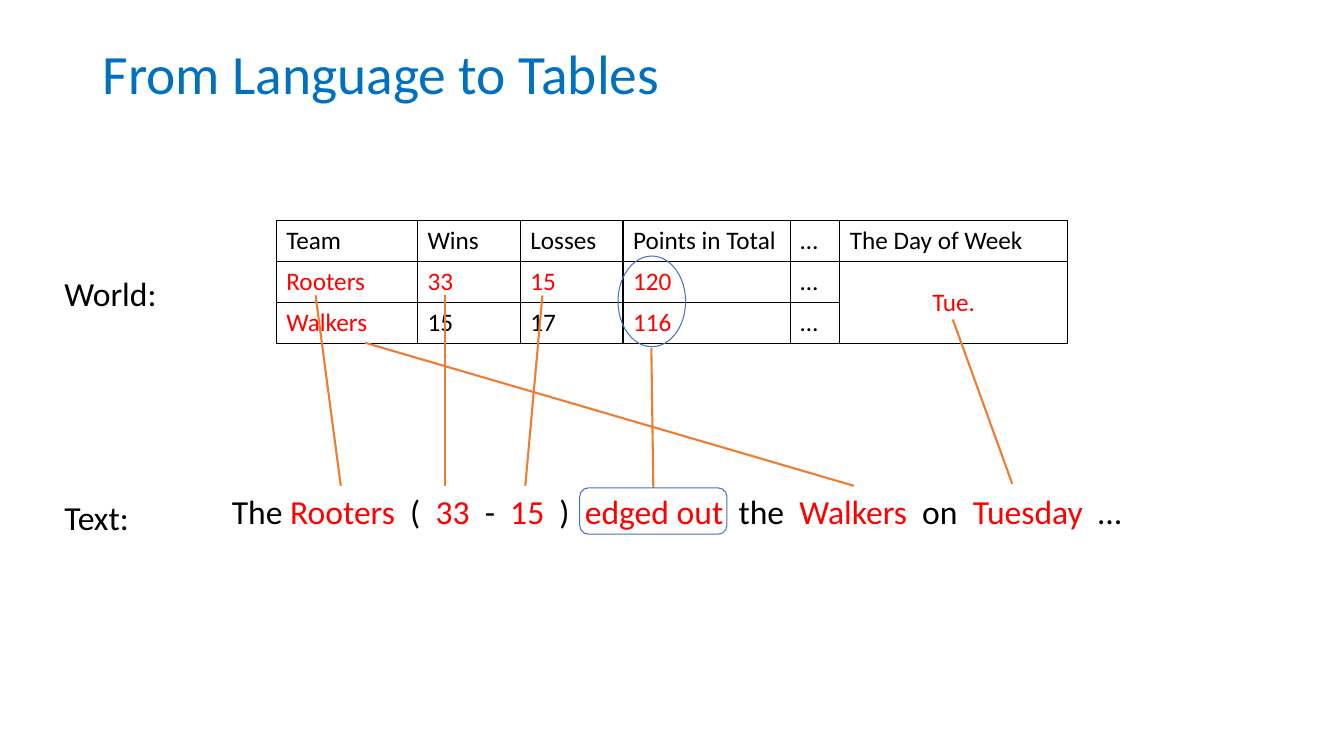
"""Build the slide that aligns a results table with the sentence describing it."""
from dataclasses import dataclass
from typing import NamedTuple

from lxml.etree import SubElement
from pptx import Presentation
from pptx.dml.color import RGBColor
from pptx.enum.shapes import MSO_CONNECTOR, MSO_SHAPE
from pptx.enum.text import MSO_ANCHOR, PP_ALIGN
from pptx.oxml.ns import qn
from pptx.util import Inches, Pt


@dataclass(frozen=True)
class Theme:
    """Colours, type sizes and line widths."""
    font: str = "Calibri"
    title: RGBColor = RGBColor(0x00, 0x70, 0xC0)
    ink: RGBColor = RGBColor(0x00, 0x00, 0x00)
    match: RGBColor = RGBColor(0xFF, 0x00, 0x00)
    link: RGBColor = RGBColor(0xED, 0x7D, 0x31)
    mark: RGBColor = RGBColor(0x44, 0x72, 0xC4)
    title_size: float = 39.6
    body_size: float = 24
    table_size: float = 18
    gap_spacing: int = 540
    link_width: float = 1.5
    thin_width: float = 0.75
    border_width: float = 1


class Box(NamedTuple):
    """A rectangle in inches."""
    left: float
    top: float
    width: float
    height: float

    def lengths(self):
        """Return the four values as lengths."""
        return [Inches(v) for v in self]


class Label(NamedTuple):
    """A line of plain text."""
    text: str
    box: Box
    size: float
    color: RGBColor
    anchor: MSO_ANCHOR = MSO_ANCHOR.TOP
    line_spacing: float = 1.0


class Link(NamedTuple):
    """A line from a table value down to its word."""
    x1: float
    y1: float
    x2: float
    y2: float


class Mark(NamedTuple):
    """An outline around matched content."""
    shape: MSO_SHAPE
    box: Box
    corner: float | None = None


class Word(NamedTuple):
    """A piece of the sentence and whether the table supports it."""
    text: str
    matched: bool = False


T = Theme()
HOME, AWAY = "Rooters", "Walkers"
LABELS = [
    Label("From Language to Tables", Box(0.92, 0.4, 11.5, 0.71),
          T.title_size, T.title, MSO_ANCHOR.MIDDLE, 0.9),
    Label("World:", Box(0.54, 2.66, 1.13, 0.5), T.body_size, T.ink),
    Label("Text:", Box(0.54, 4.88, 0.85, 0.5), T.body_size, T.ink),
]
TABLE_BOX = Box(2.74, 2.19, 7.85, 1.22)
COLUMNS = [1.4, 1.02, 1.02, 1.66, 0.49, 2.26]
ROWS = [
    ["Team", "Wins", "Losses", "Points in Total", "…", "The Day of Week"],
    [HOME, "33", "15", "120", "…", "Tue."],
    [AWAY, "15", "17", "116", "…", ""],
]
MATCHED_CELLS = {(1, 0), (1, 1), (1, 2), (1, 3), (1, 5), (2, 0), (2, 3)}
SENTENCE_BOX = Box(1.9, 4.82, 9.62, 0.5)
SENTENCE = [
    Word("The "), Word(HOME, True), Word("("), Word("33", True), Word("-"),
    Word("15", True), Word(")"), Word("edged out", True), Word("the"),
    Word(AWAY, True), Word("on"), Word("Tuesday", True), Word("…"),
]
LINKS = [
    Link(4.41, 2.93, 4.41, 4.82),
    Link(5.38, 2.93, 5.21, 4.82),
    Link(3.13, 2.93, 3.38, 4.82),
    Link(3.62, 3.4, 8.47, 4.82),
    Link(9.45, 3.17, 10.04, 4.8),
    Link(6.46, 3.45, 6.48, 4.84),
]
MARKS = [
    Mark(MSO_SHAPE.ROUNDED_RECTANGLE, Box(5.75, 4.84, 1.46, 0.46), 0.19),
    Mark(MSO_SHAPE.OVAL, Box(6.13, 2.54, 0.67, 0.9)),
]


def style(p, size: float, color: RGBColor) -> None:
    """Set the font of a paragraph."""
    p.font.name, p.font.size = T.font, Pt(size)
    p.font.color.rgb = color


def add_label(s, label: Label) -> None:
    """Add a line of plain text."""
    tf = s.shapes.add_textbox(*label.box.lengths()).text_frame
    tf.vertical_anchor = label.anchor
    p = tf.paragraphs[0]
    p.text, p.line_spacing = label.text, label.line_spacing
    style(p, label.size, label.color)


def add_borders(cell) -> None:
    """Draw a solid line on each side of a cell."""
    tcPr = cell._tc.get_or_add_tcPr()
    for side in "LRTB":
        ln = SubElement(tcPr, qn(f"a:ln{side}"), w=str(Pt(T.border_width)))
        fill = SubElement(ln, qn("a:solidFill"))
        SubElement(fill, qn("a:srgbClr"), val=str(T.ink))


def add_results(s) -> None:
    """Add the results table."""
    table = s.shapes.add_table(len(ROWS), len(COLUMNS), *TABLE_BOX.lengths()).table
    table.first_row = table.horz_banding = False
    for column, width in zip(table.columns, COLUMNS):
        column.width = Inches(width)
    for i, row in enumerate(ROWS):
        for j, text in enumerate(row):
            cell = table.cell(i, j)
            cell.text = text
            style(cell.text_frame.paragraphs[0], T.table_size,
                  T.match if (i, j) in MATCHED_CELLS else T.ink)
            add_borders(cell)
            cell.fill.background()
    day = table.cell(1, 5)
    day.merge(table.cell(2, 5))
    day.vertical_anchor = MSO_ANCHOR.MIDDLE
    day.text_frame.paragraphs[0].alignment = PP_ALIGN.CENTER


def add_sentence(s) -> None:
    """Add the sentence, its words set apart by widened spaces."""
    tf = s.shapes.add_textbox(*SENTENCE_BOX.lengths()).text_frame
    tf.word_wrap = True
    p = tf.paragraphs[0]
    p.alignment = PP_ALIGN.CENTER
    style(p, T.body_size, T.ink)
    for i, word in enumerate(SENTENCE):
        if i > 1:
            gap = p.add_run()
            gap.text = " "
            gap._r.get_or_add_rPr().set("spc", str(T.gap_spacing))
        r = p.add_run()
        r.text = word.text
        if word.matched:
            r.font.color.rgb = T.match


def add_link(s, link: Link) -> None:
    """Add a line between a value and its word."""
    line = s.shapes.add_connector(MSO_CONNECTOR.STRAIGHT, *[Inches(v) for v in link])
    line.line.color.rgb, line.line.width = T.link, Pt(T.link_width)
    SubElement(line._element.spPr, qn("a:effectLst"))


def add_mark(s, mark: Mark) -> None:
    """Add an unfilled outline."""
    sp = s.shapes.add_shape(mark.shape, *mark.box.lengths())
    sp.shadow.inherit = False
    sp.fill.background()
    sp.line.color.rgb, sp.line.width = T.mark, Pt(T.thin_width)
    if mark.corner is not None:
        sp.adjustments[0] = mark.corner


prs = Presentation()
prs.slide_width, prs.slide_height = Inches(13.33), Inches(7.5)
s = prs.slides.add_slide(prs.slide_layouts[6])
add_results(s)
add_sentence(s)
for draw, items in ((add_label, LABELS), (add_link, LINKS), (add_mark, MARKS)):
    for item in items:
        draw(s, item)
prs.save("out.pptx")
